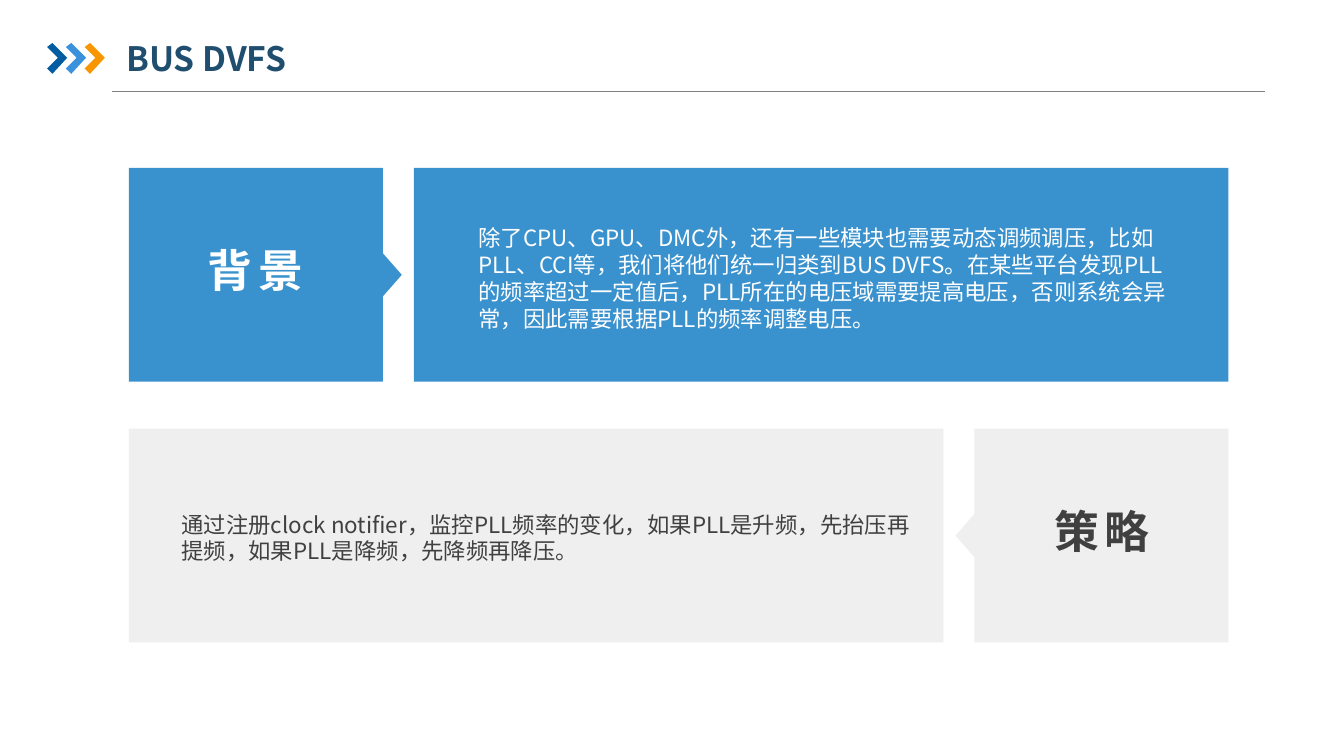
from lxml import etree
from pptx import Presentation
from pptx.dml.color import RGBColor as RGB
from pptx.enum.shapes import MSO_CONNECTOR as Connector, MSO_SHAPE as Shape
from pptx.enum.text import MSO_ANCHOR as Anchor, PP_ALIGN as Align
from pptx.oxml.ns import qn
from pptx.util import Inches, Pt

COLORS = {
    "title": "1F4E6F", "rule": "808080", "navy": "005DA2", "sky": "3992DB",
    "orange": "F79600", "blue": "3991CE", "gray": "EFEFEF",
    "white": "FFFFFF", "dark": "404040",
}
FONT = "Noto Sans CJK SC"


def write_text(frame, text, *, size, color, bold=False, align=Align.LEFT,
               anchor=Anchor.TOP, spacing=0, inset=0):
    frame.word_wrap = True
    frame.vertical_anchor = anchor
    frame.margin_left = frame.margin_right = 0
    frame.margin_top = frame.margin_bottom = Inches(inset)
    paragraph = frame.paragraphs[0]
    paragraph.alignment = align
    run = paragraph.add_run()
    run.text = text
    font = run.font
    font.size, font.bold, font.name = Pt(size), bold, FONT
    font.color.rgb = RGB.from_string(COLORS[color])
    # East Asian typeface and letter spacing
    properties = run._r.get_or_add_rPr()
    etree.SubElement(properties, qn("a:ea")).set("typeface", FONT)
    if spacing:
        properties.set("spc", str(spacing * 100))


class SlideBuilder:
    def __init__(self, slide):
        self.slide = slide
        self.shapes = slide.shapes

    def paint(self, shape, color):
        shape.shadow.inherit = False
        shape.fill.solid()
        shape.fill.fore_color.rgb = RGB.from_string(COLORS[color])
        shape.line.fill.background()
        return shape

    def title(self, text, left, top, width, height):
        title = self.shapes.title
        title.left, title.top = Inches(left), Inches(top)
        title.width, title.height = Inches(width), Inches(height)
        write_text(title.text_frame, text, size=18, color="title", bold=True,
                   anchor=Anchor.MIDDLE, inset=0.05)

    def text(self, text, left, top, width, height, **style):
        box = self.shapes.add_textbox(*map(Inches, (left, top, width, height)))
        write_text(box.text_frame, text, **style)

    def rectangle(self, left, top, width, height, color):
        box = map(Inches, (left, top, width, height))
        self.paint(self.shapes.add_shape(Shape.RECTANGLE, *box), color)

    def polygon(self, points, color):
        first, *rest = [(Inches(x), Inches(y)) for x, y in points]
        builder = self.shapes.build_freeform(*first)
        builder.add_line_segments(rest, close=True)
        return self.paint(builder.convert_to_shape(), color)

    def rule(self, left, right, y, color):
        line = self.shapes.add_connector(
            Connector.STRAIGHT, Inches(left), Inches(y), Inches(right), Inches(y))
        line.line.color.rgb = RGB.from_string(COLORS[color])
        line.line.width = Pt(0.75)
        etree.SubElement(line._element.spPr, qn("a:effectLst"))

    def chevron(self, left, color):
        outline = [(0, 0.35), (0.04, 0.32), (0.15, 0.43),
                   (0.04, 0.55), (0, 0.51), (0.08, 0.43)]
        self.polygon([(left + x, y) for x, y in outline], color)

    def tag(self, outer, inner, tip, top, height, color):
        """Box whose inner edge carries a small pointer."""
        middle, half = top + height / 2, 0.16
        bottom = top + height
        self.polygon([(outer, top), (inner, top), (inner, middle - half),
                      (tip, middle), (inner, middle + half),
                      (inner, bottom), (outer, bottom)], color)


# Widescreen slide, 16:9
presentation = Presentation()
presentation.slide_width = Inches(10)
presentation.slide_height = Inches(10) * 9 // 16
layout = presentation.slide_layouts.get_by_name("Title Only")
page = SlideBuilder(presentation.slides.add_slide(layout))

# Header
page.title("BUS DVFS", 0.94, 0.22, 2.33, 0.42)
page.rule(0.83, 9.41, 0.68, "rule")
for index, color in enumerate(("navy", "sky", "orange")):
    page.chevron(0.35 + 0.14 * index, color)

# Panels: the second row mirrors the first
LEFT, RIGHT = 0.96, 9.14
TAG_WIDTH, POINTER, PANEL_WIDTH, PANEL_HEIGHT = 1.89, 0.14, 6.06, 1.59
BACKGROUND_TOP, STRATEGY_TOP = 1.25, 3.19
heading = dict(size=24, bold=True, align=Align.CENTER, spacing=3)

# Background
page.rectangle(RIGHT - PANEL_WIDTH, BACKGROUND_TOP, PANEL_WIDTH, PANEL_HEIGHT, "blue")
inner = LEFT + TAG_WIDTH
page.tag(LEFT, inner, inner + POINTER, BACKGROUND_TOP, PANEL_HEIGHT, "blue")
page.text("除了CPU、GPU、DMC外，还有一些模块也需要动态调频调压，比如PLL、CCI等，"
          "我们将他们统一归类到BUS DVFS。在某些平台发现PLL的频率超过一定值后，"
          "PLL所在的电压域需要提高电压，否则系统会异常，因此需要根据PLL的频率调整电压。",
          3.56, 1.67, 5.2, 0.98, size=12, color="white")
page.text("背景", 1.42, 1.81, 0.96, 0.4, color="white", **heading)

# Strategy
page.rectangle(LEFT, STRATEGY_TOP, PANEL_WIDTH, PANEL_HEIGHT, "gray")
inner = RIGHT - TAG_WIDTH
page.tag(RIGHT, inner, inner - POINTER, STRATEGY_TOP, PANEL_HEIGHT, "gray")
page.text("策略", 7.72, 3.75, 0.96, 0.4, color="dark", **heading)
page.text("通过注册clock notifier，监控PLL频率的变化，如果PLL是升频，先抬压再提频，"
          "如果PLL是降频，先降频再降压。",
          1.35, 3.8, 5.43, 0.4, size=12, color="dark")

presentation.save("out.pptx")
